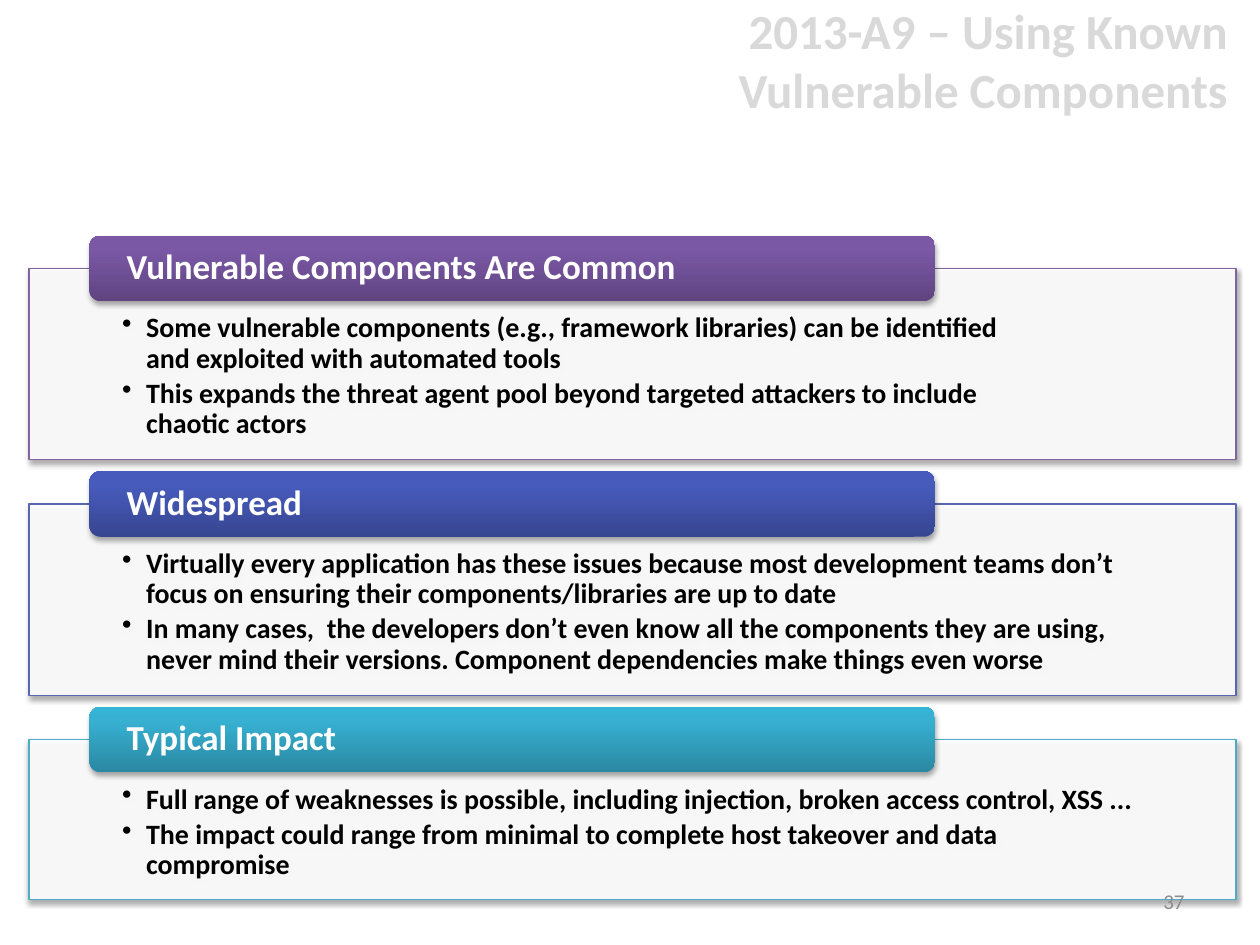
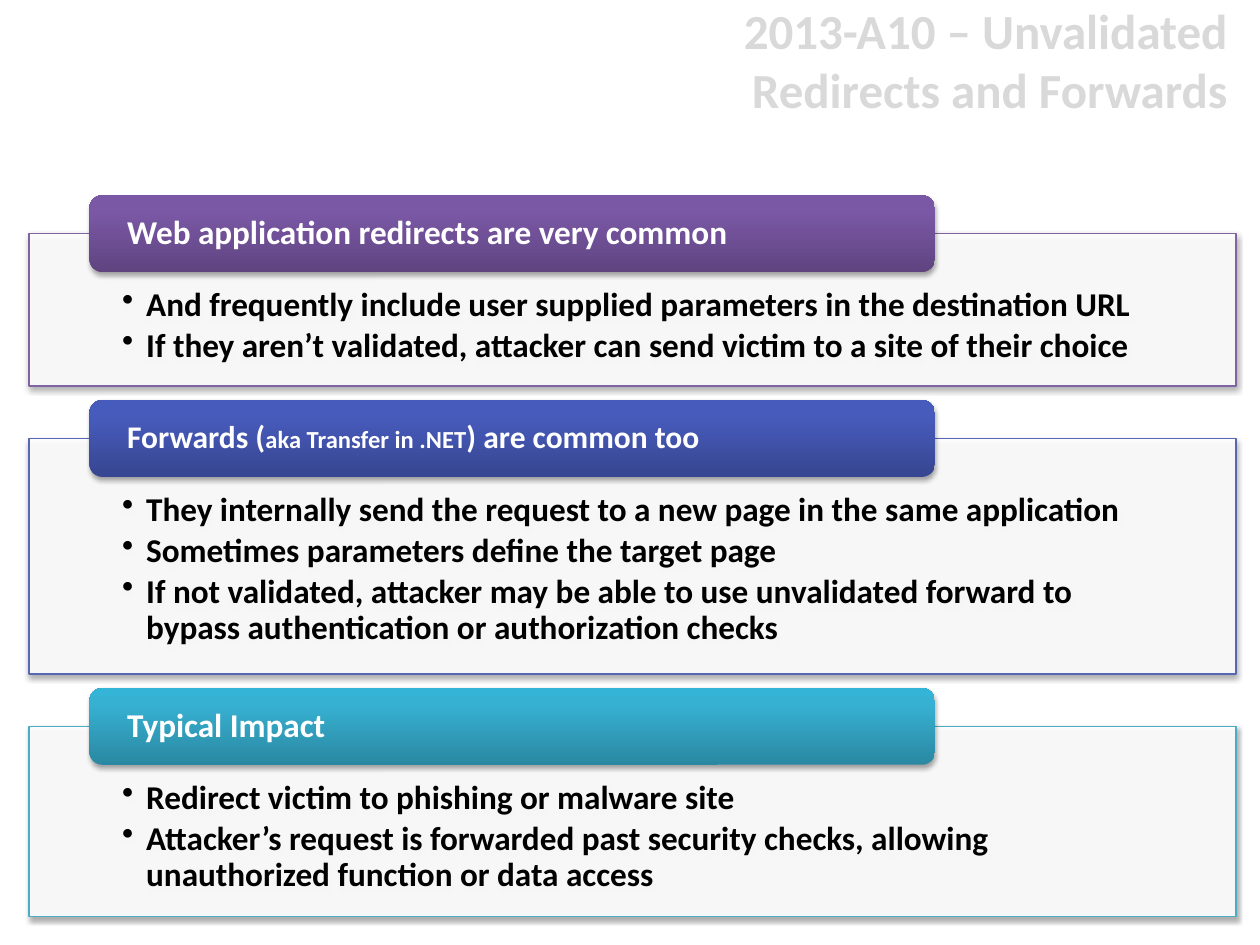
from lxml import etree
from pptx import Presentation
from pptx.dml.color import RGBColor
from pptx.enum.shapes import MSO_SHAPE
from pptx.enum.text import MSO_ANCHOR, PP_ALIGN
from pptx.oxml.ns import qn
from pptx.util import Inches, Pt

RECT, ROUND_RECT = MSO_SHAPE.RECTANGLE, MSO_SHAPE.ROUNDED_RECTANGLE
TOP, MIDDLE = MSO_ANCHOR.TOP, MSO_ANCHOR.MIDDLE
LEFT, RIGHT = PP_ALIGN.LEFT, PP_ALIGN.RIGHT

FONT = "Calibri"
WHITE = RGBColor(0xFF, 0xFF, 0xFF)
BLACK = RGBColor(0x00, 0x00, 0x00)
TITLE_GREY = RGBColor(0xD9, 0xD9, 0xD9)
NUMBER_GREY = RGBColor(0x8C, 0x8C, 0x8C)

# Section colours: panel outline, then tab gradient from bottom to top
PURPLE = (RGBColor(0x80, 0x64, 0xA2), RGBColor(0x5F, 0x44, 0x80),
          RGBColor(0x7B, 0x58, 0xA6), RGBColor(0x7C, 0x57, 0xA8))
BLUE = (RGBColor(0x57, 0x67, 0xB4), RGBColor(0x37, 0x46, 0x91),
        RGBColor(0x47, 0x5B, 0xBC), RGBColor(0x45, 0x5A, 0xBF))
TEAL = (RGBColor(0x4B, 0xAC, 0xC6), RGBColor(0x2A, 0x88, 0xA2),
        RGBColor(0x37, 0xB1, 0xD2), RGBColor(0x34, 0xB4, 0xD6))
SECTION_COLOURS = (PURPLE, BLUE, TEAL)
STOPS = (0, 80, 100)

PANEL_LEFT, PANEL_WIDTH = 0.23, 9.58
TAB_INDENT, TAB_WIDTH = 0.48, 6.71
NBSP = chr(160)  # typed as ~ in the bullets


def add_child(parent, tag, **attrs):
    child = etree.SubElement(parent, qn(tag))
    for name, value in attrs.items():
        child.set(name, str(value))
    return child


def set_font(font, size, colour, bold=True):
    font.name, font.size, font.bold = FONT, Pt(size), bold
    font.color.rgb = colour


def set_frame(tf, anchor, left, top, right, bottom):
    tf.word_wrap = True
    tf.vertical_anchor = anchor
    tf.margin_left, tf.margin_top = Inches(left), Inches(top)
    tf.margin_right, tf.margin_bottom = Inches(right), Inches(bottom)


def drop_shadow(sp):
    sp.shadow.inherit = False
    effects = sp._element.spPr.find(qn("a:effectLst"))
    shadow = add_child(effects, "a:outerShdw", blurRad=Pt(3.1), dist=Pt(1.8),
                       dir=5400000, rotWithShape=0)
    add_child(add_child(shadow, "a:srgbClr", val=BLACK), "a:alpha", val=35000)


def add_label(s, box, text, size, colour, bold=True):
    """Right-aligned line of text, used for the title and page number."""
    tf = s.shapes.add_textbox(*map(Inches, box)).text_frame
    set_frame(tf, MIDDLE, 0.1, 0.05, 0.1, 0.05)
    p = tf.paragraphs[0]
    p.text, p.alignment = text, RIGHT
    set_font(p.font, size, colour, bold)


def add_panel(s, top, height, bullets, size, insets, outline):
    sp = s.shapes.add_shape(RECT, Inches(PANEL_LEFT), Inches(top),
                            Inches(PANEL_WIDTH), Inches(height))
    sp.fill.solid()
    sp.fill.fore_color.rgb = WHITE
    fill_colour = sp._element.spPr.find(qn("a:solidFill")).find(qn("a:srgbClr"))
    add_child(fill_colour, "a:alpha", val=90000)
    sp.line.color.rgb, sp.line.width = outline, Pt(0.75)
    drop_shadow(sp)
    tf = sp.text_frame
    set_frame(tf, TOP, 0.74, insets[0], 0.74, insets[1])
    for i, text in enumerate(bullets):
        p = tf.add_paragraph() if i else tf.paragraphs[0]
        p.text = text.replace("~", NBSP)
        p.level, p.alignment = 1, LEFT
        p.line_spacing, p.space_after = 0.9, Pt(2.9)
        pPr = p._p.get_or_add_pPr()
        pPr.set("marL", str(Inches(0.19)))
        pPr.set("indent", str(Inches(-0.19)))
        add_child(pPr, "a:buChar", char="•")
        set_font(p.font, size, BLACK)


def add_tab(s, top, height, runs, gradient):
    sp = s.shapes.add_shape(ROUND_RECT, Inches(PANEL_LEFT + TAB_INDENT),
                            Inches(top), Inches(TAB_WIDTH), Inches(height))
    sp.fill.gradient()
    sp.fill.gradient_angle = 90
    stops = sp._element.spPr.find(qn("a:gradFill")).find(qn("a:gsLst"))
    for stop in list(stops):
        stops.remove(stop)
    for position, colour in zip(STOPS, gradient):
        stop = add_child(stops, "a:gs", pos=position * 1000)
        add_child(stop, "a:srgbClr", val=colour)
    sp.line.fill.background()
    drop_shadow(sp)
    tf = sp.text_frame
    set_frame(tf, MIDDLE, 0.27, 0, 0.27, 0)
    p = tf.paragraphs[0]
    p.alignment, p.line_spacing = LEFT, 0.9
    for text, size in runs:
        r = p.add_run()
        r.text = text
        set_font(r.font, size, WHITE)


def add_section_slide(prs, title, sections, top, tab_height, gap, size, insets):
    """Title with stacked panels, each tab straddling its panel's top edge."""
    s = prs.slides.add_slide(prs.slide_layouts[6])
    add_label(s, (4.67, 0.08, 5.17, 0.78), title, 28, TITLE_GREY)
    for (heading, height, bullets), colours in zip(sections, SECTION_COLOURS):
        outline, *gradient = colours
        panel_top = top + tab_height / 2
        add_panel(s, panel_top, height, bullets, size, insets, outline)
        add_tab(s, top, tab_height, heading, gradient)
        top = panel_top + height + gap
    return s


# Sections: heading runs (text, size), panel height, bullets
COMPONENTS = [
    ([("Vulnerable Components Are Common", 20)], 1.52, [
        "Some~vulnerable components~(e.g., framework~libraries) "
        "can~be~identified and~exploited~with automated~tools",
        "This expands~the threat~agent~pool beyond~targeted "
        "attackers~to~include chaotic~actors"]),
    ([("Widespread", 20)], 1.52, [
        "Virtually every application has these issues because most development "
        "teams don’t focus on ensuring their components/libraries are up to date",
        "In many cases,  the developers don’t even know all the components they "
        "are using, never mind their versions. Component dependencies make "
        "things even worse"]),
    ([("Typical Impact", 20)], 1.27, [
        "Full range of weaknesses is possible, including injection, broken "
        "access control, XSS ...",
        "The impact could range from minimal to complete host takeover and "
        "data compromise"]),
]
REDIRECTS = [
    ([("Web application redirects are very common", 19)], 1.21, [
        "And frequently include user supplied parameters in the destination URL",
        "If they aren’t validated, attacker can send victim to a site of their "
        "choice"]),
    ([("Forwards (", 18), ("aka Transfer in .NET", 14),
      (") are common too", 18)], 1.87, [
        "They internally send the request to a new page in the same application",
        "Sometimes parameters define the target page",
        "If not validated, attacker may be able to use unvalidated forward to "
        "bypass authentication or authorization checks"]),
    ([("Typical Impact", 19)], 1.51, [
        "Redirect victim to phishing or malware site",
        "Attacker’s request is forwarded past security checks, allowing "
        "unauthorized function or data access"]),
]


def main():
    prs = Presentation()
    prs.slide_width, prs.slide_height = Inches(10), Inches(7.5)
    s = add_section_slide(prs, "2013-A9 – Using Known Vulnerable Components",
                          COMPONENTS, top=1.87, tab_height=0.52, gap=0.09,
                          size=16, insets=(0.36, 0.12))
    add_label(s, (7.17, 6.95, 2.33, 0.4), "37", 12, NUMBER_GREY, bold=False)
    add_section_slide(prs, "2013-A10 – Unvalidated Redirects and Forwards",
                      REDIRECTS, top=1.55, tab_height=0.61, gap=0.11,
                      size=19, insets=(0.43, 0.15))
    prs.save("out.pptx")


if __name__ == "__main__":
    main()
